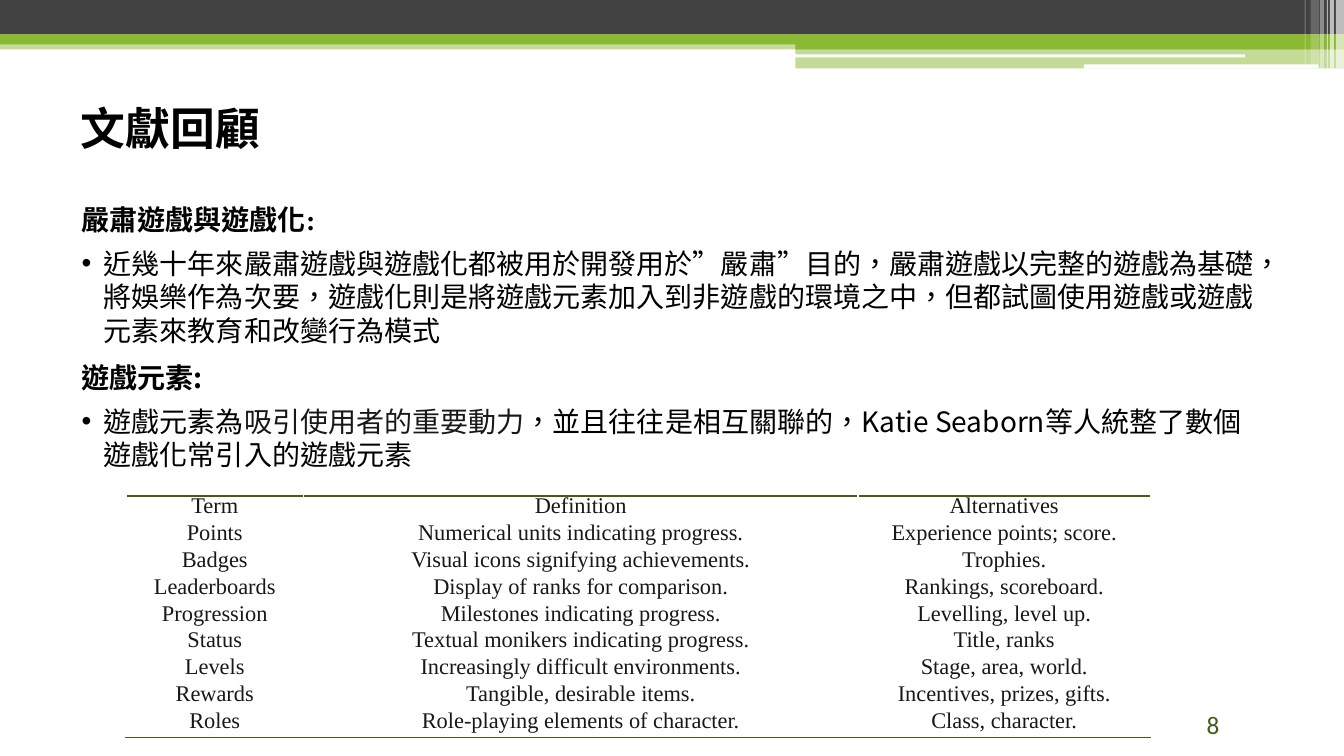
"""Build the literature review slide on serious games and game elements."""
from dataclasses import dataclass

from lxml.etree import SubElement, fromstring
from pptx import Presentation
from pptx.dml.color import RGBColor
from pptx.enum.shapes import MSO_SHAPE
from pptx.enum.text import MSO_ANCHOR, PP_ALIGN
from pptx.oxml.ns import qn
from pptx.util import Inches, Pt


@dataclass(frozen=True)
class Theme:
    """Colours, fonts and type sizes of the slide."""
    white: str = "FFFFFF"
    black: str = "000000"
    ink: str = "181818"
    charcoal: str = "424242"
    green: str = "8AB833"
    dark_green: str = "455C19"
    latin: str = "Lato"
    chinese: str = "Noto Sans CJK SC"
    serif: str = "Times New Roman"
    number: str = "Calibri"
    title_size: int = 32
    body_size: int = 20
    number_size: int = 18
    table_size: int = 16
    body_leading: int = 24
    table_leading: int = 13


THEME = Theme()


@dataclass(frozen=True)
class Bar:
    """A borderless bar of the header band."""
    left: float
    top: float
    width: float
    height: float
    color: str
    opacity: int = 100
    rounded: bool = False


@dataclass(frozen=True)
class Span:
    """A stretch of text in one format."""
    text: str
    font: str = THEME.latin
    size: int = THEME.body_size
    color: str = THEME.black
    bold: bool = False


@dataclass(frozen=True)
class BodyParagraph:
    """A paragraph of the body with equal space above and below."""
    spans: tuple[Span, ...]
    gap: int
    bullet: bool = False


HEADER_BARS = (
    Bar(0, 0.4, 13.33, 0.09, THEME.green, 50),
    Bar(0, 0, 13.33, 0.34, THEME.charcoal),
    Bar(0, 0.34, 13.33, 0.1, THEME.green),
    Bar(7.89, 0.39, 5.44, 0.1, THEME.green),
    Bar(7.89, 0.48, 5.44, 0.2, THEME.green, 50),
    Bar(7.88, 0.54, 4.47, 0.03, THEME.white, rounded=True),
    Bar(10.75, 0.64, 2.33, 0.04, THEME.white, rounded=True),
    Bar(13.25, 0, 0.08, 0.68, THEME.white, 65),
    Bar(13.19, 0, 0.04, 0.68, THEME.white, 65),
    Bar(13.16, 0, 0.01, 0.68, THEME.white, 60),
    Bar(13.09, 0, 0.04, 0.68, THEME.white, 40),
    Bar(13, 0, 0.08, 0.64, THEME.white, 20),
    Bar(12.94, 0, 0.01, 0.64, THEME.white, 30),
)

BODY = (
    BodyParagraph((Span("嚴肅遊戲與遊戲化", THEME.chinese, bold=True),
                   Span(":", THEME.serif, bold=True)), 2),
    BodyParagraph((Span("近幾十年來嚴肅遊戲與遊戲化都被用於開發用於”嚴肅”目的，"
                        "嚴肅遊戲以完整的遊戲為基礎，將娛樂作為次要，"
                        "遊戲化則是將遊戲元素加入到非遊戲的環境之中，"
                        "但都試圖使用遊戲或遊戲元素來教育和改變行為模式"),), 5, True),
    BodyParagraph((Span("遊戲元素:", THEME.chinese, bold=True),), 5),
    BodyParagraph((Span("遊戲元素為", THEME.chinese),
                   Span("吸引使用者的重要動力", THEME.chinese, color=THEME.ink),
                   Span("，並且往往是相互關聯的，Katie Seaborn等人統整了數個"
                        "遊戲化常引入的遊戲元素", THEME.chinese)), 2, True),
)

GAME_ELEMENTS = (
    ("Term", "Definition", "Alternatives"),
    ("Points", "Numerical units indicating progress.", "Experience points; score."),
    ("Badges", "Visual icons signifying achievements.", "Trophies."),
    ("Leaderboards", "Display of ranks for comparison.", "Rankings, scoreboard."),
    ("Progression", "Milestones indicating progress.", "Levelling, level up."),
    ("Status", "Textual monikers indicating progress.", "Title, ranks"),
    ("Levels", "Increasingly difficult environments.", "Stage, area, world."),
    ("Rewards", "Tangible, desirable items.", "Incentives, prizes, gifts."),
    ("Roles", "Role-playing elements of character.", "Class, character."),
)
COLUMN_WIDTHS = (1.76, 5.5, 2.9)
TABLE_HEIGHT = 2.4


def draw_bar(page, bar: Bar) -> None:
    """Draw one bar of the header band."""
    kind = MSO_SHAPE.ROUNDED_RECTANGLE if bar.rounded else MSO_SHAPE.RECTANGLE
    shape = page.shapes.add_shape(kind, Inches(bar.left), Inches(bar.top),
                                  Inches(bar.width), Inches(bar.height))
    shape.shadow.inherit = False
    shape.line.fill.background()
    shape.fill.solid()
    shape.fill.fore_color.rgb = RGBColor.from_string(bar.color)
    if bar.opacity < 100:
        color = shape.fill._xPr.find(qn("a:solidFill"))[0]
        SubElement(color, qn("a:alpha"), val=str(bar.opacity * 1000))


def write_span(para, span: Span) -> None:
    """Add a formatted run to a paragraph."""
    run = para.add_run()
    run.text = span.text
    font = run.font
    font.name, font.size, font.bold = span.font, Pt(span.size), span.bold
    font.color.rgb = RGBColor.from_string(span.color)
    properties = run._r.get_or_add_rPr()
    properties.set("lang", "zh-TW")
    SubElement(properties, qn("a:ea"), typeface=THEME.chinese)


def add_box(page, left: float, top: float, width: float, height: float,
            anchor: MSO_ANCHOR, inset: tuple[float, float] = (0.13, 0.07)):
    """Add a wrapping text box and return its text frame."""
    box = page.shapes.add_textbox(Inches(left), Inches(top), Inches(width), Inches(height))
    frame = box.text_frame
    frame.word_wrap = True
    frame.vertical_anchor = anchor
    frame.margin_left = frame.margin_right = Inches(inset[0])
    frame.margin_top = frame.margin_bottom = Inches(inset[1])
    return frame


def set_indent(para, margin: float, indent: float = 0) -> None:
    """Set the left margin and first-line indent of a paragraph."""
    properties = para._p.get_or_add_pPr()
    properties.set("marL", str(Inches(margin)))
    properties.set("indent", str(Inches(indent)))


def add_bullet(para) -> None:
    """Give a paragraph a hanging round bullet."""
    set_indent(para, 0.22, -0.22)
    properties = para._p.get_or_add_pPr()
    SubElement(SubElement(properties, qn("a:buClr")), qn("a:srgbClr"), val=THEME.black)
    SubElement(properties, qn("a:buFont"), typeface="Arial")
    SubElement(properties, qn("a:buChar"), char="•")


def draw_body(page) -> None:
    """Write the headings and bulleted paragraphs."""
    frame = add_box(page, 0.68, 1.94, 12, 5.28, MSO_ANCHOR.TOP)
    for index, entry in enumerate(BODY):
        para = frame.add_paragraph() if index else frame.paragraphs[0]
        para.line_spacing = Pt(THEME.body_leading)
        para.space_before = para.space_after = Pt(entry.gap)
        if entry.bullet:
            add_bullet(para)
        for span in entry.spans:
            write_span(para, span)


def add_rule(cell, side: str) -> None:
    """Draw a one-point border on one side of a cell."""
    namespace = "http://schemas.openxmlformats.org/drawingml/2006/main"
    rule = fromstring(f'<a:{side} xmlns:a="{namespace}" w="{Pt(1)}"><a:solidFill>'
                      f'<a:srgbClr val="{THEME.dark_green}"/></a:solidFill></a:{side}>')
    cell._tc.get_or_add_tcPr().insert(0, rule)


def draw_table(page) -> None:
    """Draw the table of game elements."""
    count = len(GAME_ELEMENTS)
    table = page.shapes.add_table(count, len(COLUMN_WIDTHS), Inches(1.25), Inches(4.92),
                                  Inches(sum(COLUMN_WIDTHS)), Inches(TABLE_HEIGHT)).table
    table.first_row = table.horz_banding = False
    for column, width in zip(table.columns, COLUMN_WIDTHS):
        column.width = Inches(width)
    for row_index, texts in enumerate(GAME_ELEMENTS):
        table.rows[row_index].height = Inches(TABLE_HEIGHT / count)
        for column_index, text in enumerate(texts):
            cell = table.cell(row_index, column_index)
            cell.fill.background()
            cell.vertical_anchor = MSO_ANCHOR.MIDDLE
            cell.margin_left = cell.margin_right = Inches(0.01 if column_index == 2 else 0)
            cell.margin_top = cell.margin_bottom = 0
            para = cell.text_frame.paragraphs[0]
            para.alignment = PP_ALIGN.CENTER
            para.line_spacing = Pt(THEME.table_leading)
            write_span(para, Span(text, THEME.serif, THEME.table_size, THEME.ink))
            if row_index in (0, count - 1):
                add_rule(cell, "lnB" if row_index else "lnT")


def main() -> None:
    """Build and save the deck."""
    deck = Presentation()
    deck.slide_width, deck.slide_height = Inches(13.33), Inches(7.5)
    page = deck.slides.add_slide(deck.slide_layouts[6])
    for bar in HEADER_BARS:
        draw_bar(page, bar)
    title = add_box(page, 0, 0.68, 12.67, 1.17, MSO_ANCHOR.MIDDLE).paragraphs[0]
    set_indent(title, 0.67)
    write_span(title, Span("文獻回顧", size=THEME.title_size, bold=True))
    draw_body(page)
    number = add_box(page, 11.87, 6.99, 1.29, 0.4, MSO_ANCHOR.BOTTOM, (0.1, 0.05))
    write_span(number.paragraphs[0], Span("8", THEME.number, THEME.number_size, THEME.dark_green))
    draw_table(page)
    deck.save("out.pptx")


if __name__ == "__main__":
    main()
